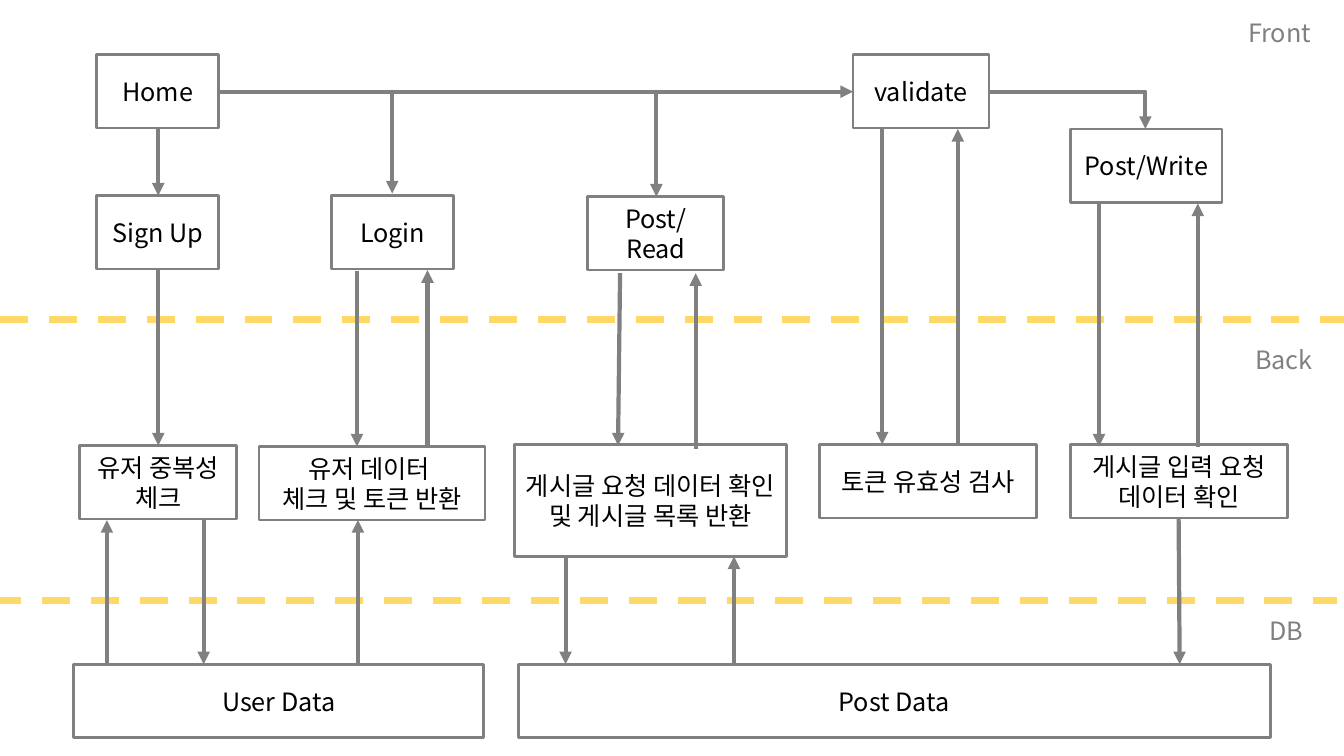
from lxml import etree
from pptx import Presentation
from pptx.dml.color import RGBColor
from pptx.enum.dml import MSO_LINE
from pptx.enum.shapes import MSO_CONNECTOR as CONN, MSO_SHAPE as SHAPE
from pptx.enum.text import MSO_ANCHOR, MSO_AUTO_SIZE, PP_ALIGN
from pptx.oxml.ns import qn
from pptx.util import Inches, Pt

COLORS = {"white": "FFFFFF", "black": "000000", "gray": "808080", "yellow": "FFD966"}
FONT = "Noto Sans CJK KR"
BOX_H = 0.73
FRONT_Y, BACK_Y, DB_Y = 1.94, 4.41, 6.59
DB_TOP = 5.16

BOXES = [
    ("Home", 0.96, 0.54, 1.21, BOX_H),
    ("Sign Up", 0.96, FRONT_Y, 1.21, BOX_H),
    ("Login", 3.29, FRONT_Y, 1.21, BOX_H),
    ("Post/Read", 5.83, 1.95, 1.35, BOX_H),
    ("validate", 8.46, 0.54, 1.35, BOX_H),
    ("Post/Write", 10.62, 1.28, 1.5, BOX_H),
    ("유저 중복성 체크", 0.79, 4.42, 1.56, BOX_H),
    ("유저 데이터 \n체크 및 토큰 반환", 2.57, 4.43, 2.24, BOX_H),
    ("게시글 요청 데이터 확인 및 게시글 목록 반환", 5.1, BACK_Y, 2.7, 1.11),
    ("토큰 유효성 검사", 8.13, BACK_Y, 2.15, BOX_H),
    ("게시글 입력 요청 데이터 확인", 10.62, BACK_Y, 2.15, BOX_H),
    ("User Data", 0.73, DB_Y, 4.07, BOX_H),
    ("Post Data", 5.14, DB_Y, 7.46, BOX_H),
]

ARROWS = [
    (2.17, 0.91, 8.46, 0.91),
    (3.89, 0.89, 3.89, 1.92),
    (6.51, 0.93, 6.51, 1.95),
    (1.57, 1.28, 1.57, FRONT_Y),
    (8.75, 1.28, 8.75, BACK_Y),
    (9.5, BACK_Y, 9.5, 1.28),
    (1.57, 2.67, 1.57, 4.42),
    (1.06, DB_Y, 1.06, DB_TOP),
    (2.02, DB_TOP, 2.02, DB_Y),
    (3.55, DB_Y, 3.55, DB_TOP),
    (5.61, 5.52, 5.61, DB_Y),
    (7.28, DB_Y, 7.28, 5.52),
    (11.69, 5.15, 11.7, DB_Y),
    (10.9, 2.01, 10.9, 4.43),
    (11.88, 4.43, 11.88, 2.02),
    (3.54, 2.69, 3.54, 4.43),
    (4.24, 4.43, 4.24, 2.68),
    (6.15, 2.71, 6.13, 4.42),
    (6.9, 4.45, 6.9, 2.71),
]

LAYERS = [
    ("Front", 12.28, 0.12, 0.87),
    ("Back", 12.35, 3.37, 0.79),
    ("DB", 12.49, 6.06, 0.7),
]


def rgb(name):
    return RGBColor.from_string(COLORS[name])


def write(tf, text, color, align):
    tf.text = text
    for p in tf.paragraphs:
        p.alignment = align
        for r in p.runs:
            for key, value in {"name": FONT, "size": Pt(18)}.items():
                setattr(r.font, key, value)
            r.font.color.rgb = rgb(color)
            etree.SubElement(r.font._element, qn("a:ea"), typeface=FONT)


def add_box(slide, text, x, y, w, h):
    sp = slide.shapes.add_shape(SHAPE.RECTANGLE, *map(Inches, (x, y, w, h)))
    sp.shadow.inherit = False
    sp.fill.solid()
    sp.fill.fore_color.rgb = rgb("white")
    sp.line.color.rgb = rgb("gray")
    sp.line.width = Pt(2)
    tf = sp.text_frame
    for key, value in {"word_wrap": True, "vertical_anchor": MSO_ANCHOR.MIDDLE}.items():
        setattr(tf, key, value)
    write(tf, text, "black", PP_ALIGN.CENTER)


def add_line(slide, ends, color, width, kind=CONN.STRAIGHT):
    sp = slide.shapes.add_connector(kind, *map(Inches, ends))
    sp.line.color.rgb = rgb(color)
    sp.line.width = Pt(width)
    etree.SubElement(sp._element.spPr, qn("a:effectLst"))
    return sp


def add_divider(slide, x, y):
    sp = add_line(slide, (x, y, x + 13.33, y), "yellow", 5)
    sp.line.dash_style = MSO_LINE.DASH


def add_arrow(slide, ends, kind=CONN.STRAIGHT):
    sp = add_line(slide, ends, "gray", 3, kind)
    etree.SubElement(sp.line._get_or_add_ln(), qn("a:tailEnd"), type="triangle")
    return sp


def add_corner_arrow(slide, ends):
    sp = add_arrow(slide, ends, CONN.ELBOW)
    sp._element.spPr.find(qn("a:prstGeom")).set("prst", "bentConnector2")


def add_label(slide, text, x, y, w):
    sp = slide.shapes.add_textbox(*map(Inches, (x, y, w, 0.4)))
    tf = sp.text_frame
    for key, value in {"word_wrap": False, "auto_size": MSO_AUTO_SIZE.SHAPE_TO_FIT_TEXT}.items():
        setattr(tf, key, value)
    write(tf, text, "gray", PP_ALIGN.LEFT)


def main():
    prs = Presentation()
    prs.slide_width, prs.slide_height = Inches(13.33), Inches(7.5)
    slide = prs.slides.add_slide(prs.slide_layouts[6])
    add_divider(slide, 0, 3.17)
    add_divider(slide, -0.07, 5.96)
    for box in BOXES:
        add_box(slide, *box)
    for ends in ARROWS:
        add_arrow(slide, ends)
    add_corner_arrow(slide, (9.81, 0.91, 11.36, 1.28))
    for layer in LAYERS:
        add_label(slide, *layer)
    prs.save("out.pptx")


if __name__ == "__main__":
    main()
